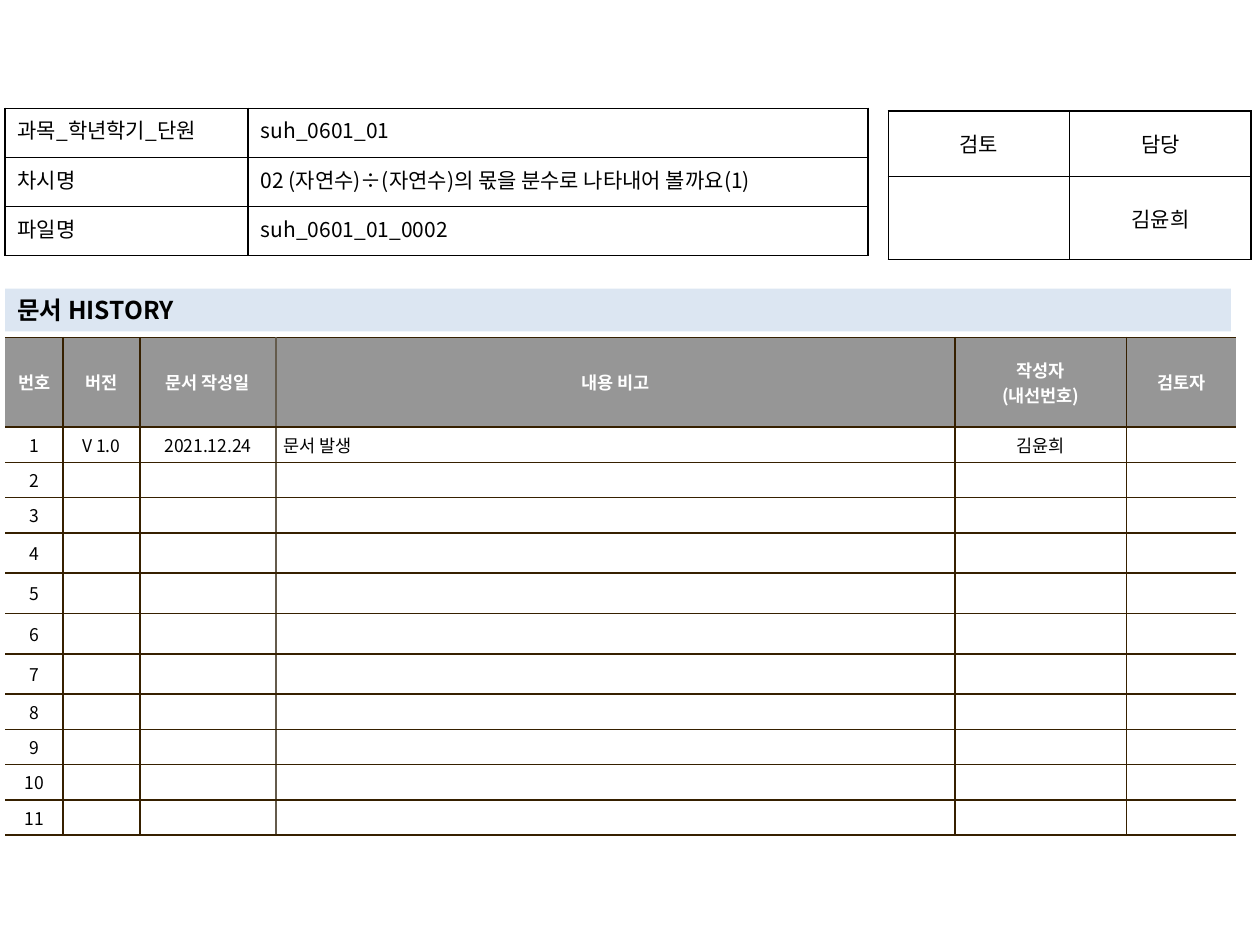
from lxml.etree import SubElement
from pptx import Presentation
from pptx.dml.color import RGBColor
from pptx.enum.shapes import MSO_SHAPE
from pptx.enum.text import MSO_ANCHOR, PP_ALIGN
from pptx.oxml.ns import qn
from pptx.util import Inches, Pt

COLORS = {"black": "000000", "white": "FFFFFF", "header": "969696",
          "banner": "DCE6F2", "brown": "362000", "taupe": "645B4C"}
FONT = "Noto Sans CJK KR"
LEFT = 0.04

deck = Presentation()
deck.slide_width, deck.slide_height = Inches(10), Inches(7.5)
page = deck.slides.add_slide(deck.slide_layouts[6])


def write(frame, text, size=12, color="black", bold=False, align=PP_ALIGN.LEFT, hanging=0):
    """Fill a text frame, one paragraph per line of text."""
    for number, line in enumerate(text.split("\n")):
        para = frame.add_paragraph() if number else frame.paragraphs[0]
        para.alignment = align
        if hanging:
            properties = para._p.get_or_add_pPr()
            properties.set("marL", str(Inches(hanging)))
            properties.set("indent", str(-Inches(hanging)))
        if not line:
            # An empty cell keeps the text size, so its row does not grow
            SubElement(para._p, qn("a:endParaRPr"), sz=str(size * 100))
            continue
        span = para.add_run()
        span.text = line
        span.font.size, span.font.bold, span.font.name = Pt(size), bold, FONT
        span.font.color.rgb = RGBColor.from_string(COLORS[color])
        east_asian = SubElement(span._r.get_or_add_rPr(), qn("a:ea"))
        east_asian.set("typeface", FONT)


def add_grid(left, top, columns, rows, texts, look):
    """Add a table; look(row, column) gives text format, fill, anchor, margins and borders."""
    table = page.shapes.add_table(len(rows), len(columns), Inches(left), Inches(top),
                                  Inches(sum(columns)), Inches(sum(rows))).table
    table.first_row = table.horz_banding = False
    for column, width in zip(table.columns, columns):
        column.width = Inches(width)
    for row, height in zip(table.rows, rows):
        row.height = Inches(height)
    for r in range(len(rows)):
        for c in range(len(columns)):
            cell, style = table.cell(r, c), look(r, c)
            across, down = style["margins"]
            cell.margin_left = cell.margin_right = Inches(across)
            cell.margin_top = cell.margin_bottom = Inches(down)
            cell.vertical_anchor = style["anchor"]
            for side, color in zip("LRTB", style["borders"]):
                line = SubElement(cell._tc.get_or_add_tcPr(), qn("a:ln" + side), w=str(Pt(1)))
                if color:
                    paint = SubElement(line, qn("a:solidFill"))
                    SubElement(paint, qn("a:srgbClr"), val=COLORS[color])
                else:
                    SubElement(line, qn("a:noFill"))
            if style["fill"]:
                cell.fill.solid()
                cell.fill.fore_color.rgb = RGBColor.from_string(COLORS[style["fill"]])
            else:
                cell.fill.background()
            write(cell.text_frame, texts[r][c], **style["text"])


# History table
history_columns = [0.46, 0.61, 1.08, 5.39, 1.36, 0.87]
history_rows = [0.71] + [0.28] * 3 + [0.32] * 4 + [0.28] * 4
history_texts = [
    ["번호", "버전", "문서 작성일", "내용 비고", "작성자\n(내선번호)", "검토자"],
    ["1", "V 1.0", "2021.12.24", "문서 발생", "김윤희", ""],
] + [[str(number)] + [""] * 5 for number in range(2, 12)]
# Vertical rules, from the open left edge to the open right edge
history_rules = [None, "brown", "brown", "taupe", "brown", "brown", None]


def history_look(r, c):
    is_note = r > 0 and c == 3
    return {
        "text": {"size": 10, "bold": r == 0, "color": "black" if r else "white",
                 "align": PP_ALIGN.LEFT if is_note else PP_ALIGN.CENTER,
                 "hanging": 0.19 if is_note else 0},
        "fill": "white" if r else "header", "anchor": MSO_ANCHOR.MIDDLE,
        "margins": (0.06, 0.04),
        "borders": (history_rules[c], history_rules[c + 1], "brown", "brown")}


add_grid(LEFT, 2.68, history_columns, history_rows, history_texts, history_look)

# Review and lesson tables share a plain black frame
plain = {"fill": None, "margins": (0.1, 0.05), "borders": ["black"] * 4}
add_grid(7.05, 0.88, [1.44] * 2, [0.52, 0.66], [["검토", "담당"], ["", "김윤희"]],
         lambda r, c: {**plain, "anchor": MSO_ANCHOR.MIDDLE,
                       "text": {"align": PP_ALIGN.CENTER}})

lesson_texts = [["과목_학년학기_단원", "suh_0601_01"],
                ["차시명", "02 (자연수)÷(자연수)의 몫을 분수로 나타내어 볼까요(1)"],
                ["파일명", "suh_0601_01_0002"]]
add_grid(LEFT, 0.86, [1.93, 4.92], [0.39] * 3, lesson_texts,
         lambda r, c: {**plain, "anchor": MSO_ANCHOR.TOP,
                       "text": {"align": PP_ALIGN.LEFT if c else PP_ALIGN.JUSTIFY}})

# History banner
banner = page.shapes.add_shape(MSO_SHAPE.RECTANGLE, Inches(LEFT), Inches(2.29),
                               Inches(9.73), Inches(0.34))
banner.shadow.inherit = False
banner.fill.solid()
banner.fill.fore_color.rgb = RGBColor.from_string(COLORS["banner"])
banner.line.fill.background()
banner.text_frame.word_wrap = True
banner.text_frame.vertical_anchor = MSO_ANCHOR.MIDDLE
write(banner.text_frame, "문서 HISTORY", size=14, bold=True)

deck.save("out.pptx")
